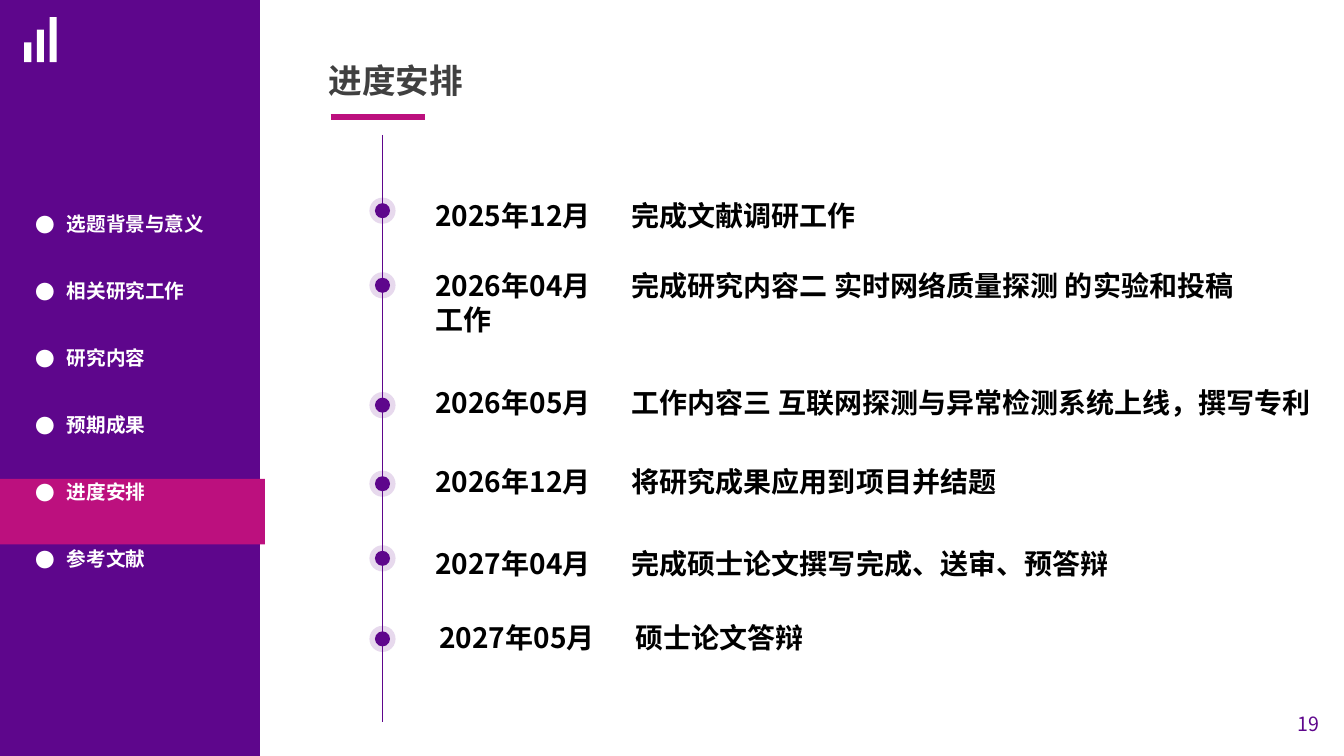
from lxml import etree
from pptx import Presentation
from pptx.dml.color import RGBColor
from pptx.enum.shapes import MSO_CONNECTOR, MSO_SHAPE
from pptx.enum.text import MSO_ANCHOR, MSO_AUTO_SIZE, PP_ALIGN
from pptx.oxml.ns import qn
from pptx.util import Cm, Pt

RECT, OVAL = MSO_SHAPE.RECTANGLE, MSO_SHAPE.OVAL
STRAIGHT = MSO_CONNECTOR.STRAIGHT
TOP, NO_FIT, LEFT = MSO_ANCHOR.TOP, MSO_AUTO_SIZE.NONE, PP_ALIGN.LEFT

FONT = "Noto Sans CJK SC"
PURPLE, MAGENTA, WHITE = "5E068C", "BC107E", "FFFFFF"
GREY, BLACK = "404040", "000000"

SECTIONS = ["选题背景与意义", "相关研究工作", "研究内容", "预期成果", "进度安排", "参考文献"]

# Date, task, marker centre, text left, text top, text width (cm)
MILESTONES = [
    ("2025年12月", "完成文献调研工作", 5.31, 10.72, 4.88, 20.75),
    ("2026年04月", "完成研究内容二 实时网络质量探测 的实验和投稿工作", 7.19, 10.72, 6.65, 20.75),
    ("2026年05月", "工作内容三 互联网探测与异常检测系统上线，撰写专利", 10.21, 10.72, 9.58, 22.76),
    ("2026年12月", "将研究成果应用到项目并结题", 12.19, 10.72, 11.58, 20.75),
    ("2027年04月", "完成硕士论文撰写完成、送审、预答辩", 14.07, 10.72, 13.64, 20.75),
    ("2027年05月", "硕士论文答辩", 16.1, 10.82, 15.52, 20.75),
]
AXIS_X = 9.64
TASK_TAB = 4.95


def color(hex_code):
    return RGBColor.from_string(hex_code)


def place(shape, left, top, width, height):
    shape.left, shape.top, shape.width, shape.height = map(Cm, (left, top, width, height))


def write(paragraph, text, size=20, hex_code=BLACK, bold=True, before=0):
    paragraph.alignment = LEFT
    paragraph.space_before, paragraph.space_after = Pt(before), Pt(0)
    run = paragraph.add_run()
    run.text = text
    font = run.font
    font.name, font.size, font.bold = FONT, Pt(size), bold
    font.color.rgb = color(hex_code)
    east_asian = etree.SubElement(run._r.get_or_add_rPr(), qn("a:ea"))
    east_asian.set("typeface", FONT)


def prepare_frame(shape):
    frame = shape.text_frame
    frame.word_wrap, frame.auto_size, frame.vertical_anchor = True, NO_FIT, TOP
    return frame


def add_text(slide, text, left, top, width, height, **style):
    box = slide.shapes.add_textbox(*map(Cm, (left, top, width, height)))
    paragraph = prepare_frame(box).paragraphs[0]
    write(paragraph, text, **style)
    return paragraph


def add_block(slide, preset, left, top, width, height, hex_code, alpha=None):
    block = slide.shapes.add_shape(preset, *map(Cm, (left, top, width, height)))
    block.shadow.inherit = False
    block.fill.solid()
    block.fill.fore_color.rgb = color(hex_code)
    block.line.fill.background()
    if alpha:
        tint = block._element.spPr.find(qn("a:solidFill"))[0]
        etree.SubElement(tint, qn("a:alpha")).set("val", str(alpha * 1000))


def add_line(slide, x1, y1, x2, y2, hex_code, weight):
    line = slide.shapes.add_connector(STRAIGHT, *map(Cm, (x1, y1, x2, y2)))
    line.line.color.rgb = color(hex_code)
    line.line.width = Pt(weight)
    etree.SubElement(line._element.spPr, qn("a:effectLst"))


def add_bullet(paragraph, indent):
    props = paragraph._p.get_or_add_pPr()
    props.set("marL", str(Cm(indent)))
    props.set("indent", str(-Cm(indent)))
    etree.SubElement(props, qn("a:buFont")).set("typeface", FONT)
    etree.SubElement(props, qn("a:buChar")).set("char", "●")


def add_tab(paragraph, position):
    tabs = etree.SubElement(paragraph._p.get_or_add_pPr(), qn("a:tabLst"))
    tab = etree.SubElement(tabs, qn("a:tab"))
    tab.set("pos", str(Cm(position)))
    tab.set("algn", "l")


def add_heading(slide):
    title = slide.shapes.title
    place(title, 8.03, 1.37, 17.93, 1.27)
    write(prepare_frame(title).paragraphs[0], "进度安排", size=24, hex_code=GREY)
    add_line(slide, 8.33, 2.95, 10.72, 2.95, MAGENTA, 4.5)


def add_timeline(slide):
    add_line(slide, AXIS_X, 3.4, AXIS_X, 18.19, PURPLE, 1.25)
    for date, task, center, left, top, width in MILESTONES:
        for diameter, alpha in ((0.66, 15), (0.38, None)):
            add_block(slide, OVAL, AXIS_X - diameter / 2, center - diameter / 2,
                      diameter, diameter, PURPLE, alpha)
        add_tab(add_text(slide, f"{date}\t{task}", left, top, width, 1.12), TASK_TAB)


def add_sidebar(slide):
    add_block(slide, RECT, 0, 0, 6.55, 19.05, PURPLE)
    # Rising bars
    for i in range(3):
        height = 0.5 + 0.32 * i
        add_block(slide, RECT, 0.61 + 0.32 * i, 1.57 - height, 0.18, height, WHITE)
    # Current section
    add_block(slide, RECT, 0, 12.07, 6.68, 1.65, MAGENTA)
    # Section list, brought in front of the panel
    menu = slide.placeholders[1]
    place(menu, 0.64, 5.21, 7.03, 9.95)
    slide.shapes._spTree.append(menu._element)
    frame = prepare_frame(menu)
    for i, section in enumerate(SECTIONS):
        paragraph = frame.add_paragraph() if i else frame.paragraphs[0]
        write(paragraph, section, size=14, hex_code=WHITE, before=31.1 if i else 0)
        add_bullet(paragraph, 0.79)


def main():
    deck = Presentation()
    deck.slide_width, deck.slide_height = Cm(33.87), Cm(19.05)
    slide = deck.slides.add_slide(deck.slide_layouts[1])
    add_heading(slide)
    add_timeline(slide)
    add_sidebar(slide)
    add_text(slide, "19", 32.44, 17.81, 1.73, 0.86, size=14, hex_code=PURPLE, bold=False)
    deck.save("out.pptx")


if __name__ == "__main__":
    main()
